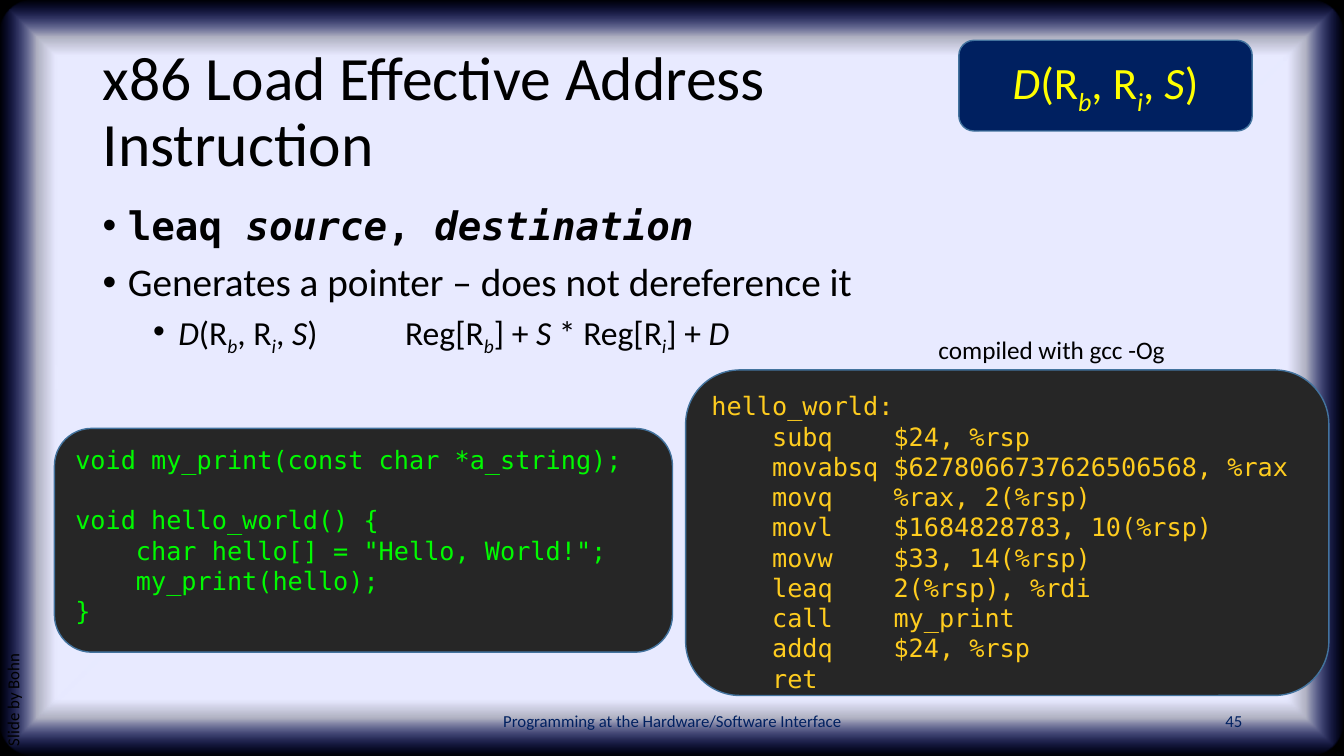
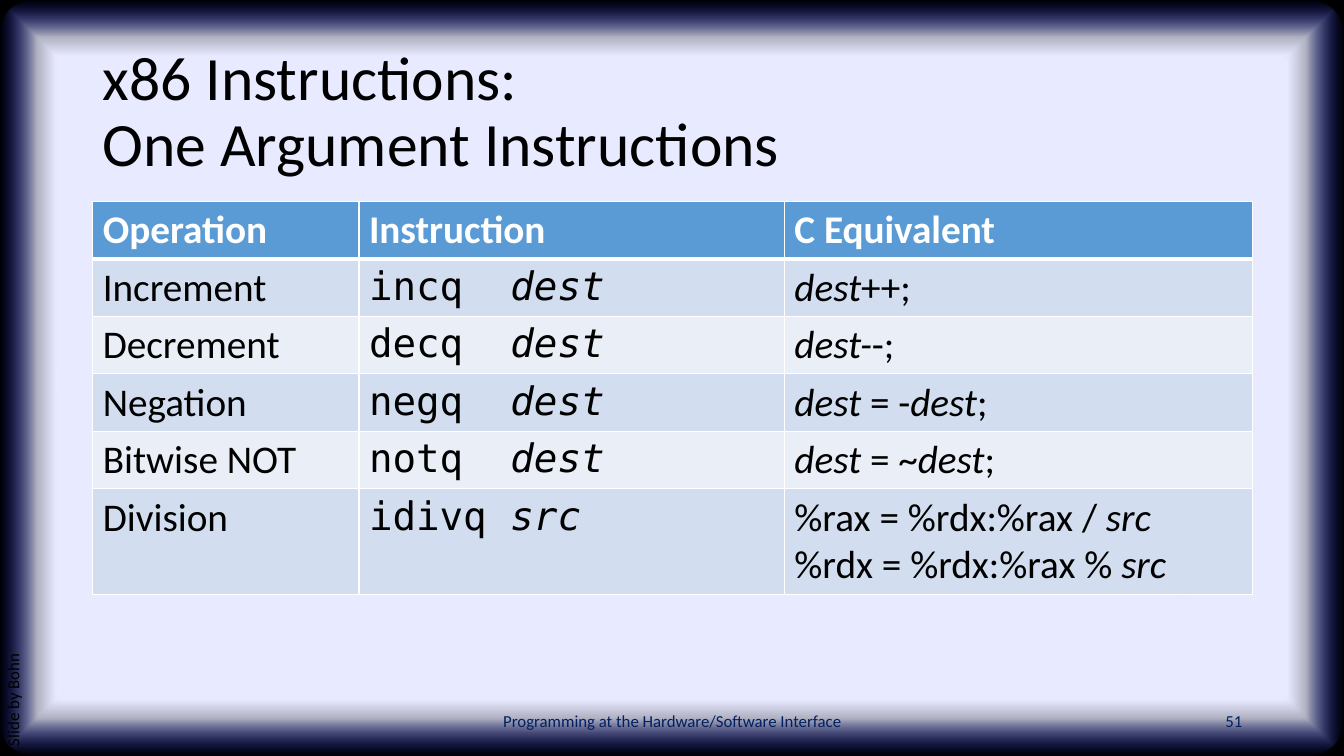
from lxml import etree
from pptx import Presentation
from pptx.dml.color import RGBColor
from pptx.enum.shapes import MSO_SHAPE as Preset
from pptx.enum.text import MSO_ANCHOR as Anchor, PP_ALIGN as Align
from pptx.oxml import parse_xml
from pptx.oxml.ns import nsdecls, qn
from pptx.util import Inches, Pt

COLORS = {
    "black": "000000", "white": "FFFFFF", "navy": "002060", "outline": "43739E",
    "yellow": "FFFF00", "code": "262626", "green": "00FA00", "amber": "FECC1F",
    "header": "5B9BD5", "odd": "D2DEEF", "even": "EAEFF7",
    "glow": "E8EAFF", "edge": "162AFF",
}
SANS, MONO = "Calibri", "DejaVu Sans Mono"
WIDTH, HEIGHT = 13.33, 7.5
LEFT, CONTENT_WIDTH = 0.92, 11.5
COURSE = "Programming at the Hardware/Software Interface"
CREDIT = "Slide by Bohn"

# Spans are (text, style): i = italic, b = bold, s = subscript, m = monospaced.
ADDRESS = [("D", "i"), ("(R", ""), ("b", "is"), (", R", ""), ("i", "is"),
           (", ", ""), ("S", "i"), (")", "")]
EFFECTIVE = [("\tReg[R", ""), ("b", "is"), ("] + ", ""), ("S", "i"),
             (" * Reg[R", ""), ("i", "is"), ("] + ", ""), ("D", "i")]

LEA_TITLE = ["x86 Load Effective Address", "Instruction"]
LEA_BULLETS = [  # level, spans
    (0, [("leaq ", "bm"), ("source", "bim"), (", ", "bm"), ("destination", "bim")]),
    (0, [("Generates a pointer – does not dereference it", "")]),
    (1, ADDRESS + EFFECTIVE),
]
BULLET_LEVELS = [(0.25, 28, 10), (0.75, 24, 5)]  # margin, size, space before
C_CODE = """void my_print(const char *a_string);

void hello_world() {
    char hello[] = "Hello, World!";
    my_print(hello);
}"""
ASSEMBLY = """hello_world:
    subq    $24, %rsp
    movabsq $6278066737626506568, %rax
    movq    %rax, 2(%rsp)
    movl    $1684828783, 10(%rsp)
    movw    $33, 14(%rsp)
    leaq    2(%rsp), %rdi
    call    my_print
    addq    $24, %rsp
    ret"""

TABLE_TITLE = ["x86 Instructions:", "One Argument Instructions"]
HEADINGS = ["Operation", "Instruction", "C Equivalent"]
COLUMN_WIDTHS = [2.64, 4.22, 4.64]
OPERATIONS = [  # operation, mnemonic, operand, lines of C
    ("Increment", "incq  ", "dest", [[("dest", "i"), ("++;", "")]]),
    ("Decrement", "decq  ", "dest", [[("dest-", "i"), ("-;", "")]]),
    ("Negation", "negq  ", "dest",
     [[("dest", "i"), (" = -", ""), ("dest", "i"), (";", "")]]),
    ("Bitwise NOT", "notq  ", "dest",
     [[("dest", "i"), (" = ~", ""), ("dest", "i"), (";", "")]]),
    ("Division", "idivq ", "src",
     [[("%rax = %rdx:%rax / ", ""), ("src", "i")],
      [("%rdx = %rdx:%rax % ", ""), ("src", "i")]]),
]


def rgb(name):
    return RGBColor.from_string(COLORS[name])


def add_spans(para, spans, size, color):
    for text, style in spans:
        span = para.add_run()
        span.text = text
        font = span.font
        font.name = MONO if "m" in style else SANS
        font.size = Pt(size)
        font.bold = "b" in style
        font.italic = "i" in style
        font.color.rgb = rgb(color)
        if "s" in style:
            span._r.get_or_add_rPr().set("baseline", "-25000")


def write_lines(frame, lines, size, color, align=Align.LEFT):
    """Write one paragraph for each list of spans."""
    for index, spans in enumerate(lines):
        para = frame.paragraphs[0] if index == 0 else frame.add_paragraph()
        para.alignment = align
        add_spans(para, spans, size, color)


def add_box(page, place, anchor=Anchor.TOP, wrap=True):
    box = page.shapes.add_textbox(*map(Inches, place))
    box.text_frame.word_wrap = wrap
    box.text_frame.vertical_anchor = anchor
    return box


def add_panel(page, place, fill, anchor):
    panel = page.shapes.add_shape(Preset.ROUNDED_RECTANGLE, *map(Inches, place))
    panel.shadow.inherit = False
    panel.fill.solid()
    panel.fill.fore_color.rgb = rgb(fill)
    panel.line.color.rgb = rgb("outline")
    panel.line.width = Pt(1)
    panel.text_frame.word_wrap = True
    panel.text_frame.vertical_anchor = anchor
    return panel.text_frame


def add_code(page, place, code, color):
    frame = add_panel(page, place, "code", Anchor.TOP)
    lines = [[(line, "m")] if line else [] for line in code.splitlines()]
    write_lines(frame, lines, 18, color)


def add_backdrop(page):
    """Black page under a pale panel that fades out at the edges."""
    full = [Inches(side) for side in (0, 0, WIDTH, HEIGHT)]
    base = page.shapes.add_shape(Preset.RECTANGLE, *full)
    base.fill.solid()
    base.fill.fore_color.rgb = rgb("black")
    glow = page.shapes.add_shape(Preset.ROUNDED_RECTANGLE, *full)
    glow.adjustments[0] = 0.048
    for shape in (base, glow):
        shape.shadow.inherit = False
        shape.line.fill.background()
    stops = "".join(
        f'<a:gs pos="{place * 1000}"><a:srgbClr val="{COLORS[color]}">'
        f'<a:alpha val="{alpha * 1000}"/></a:srgbClr></a:gs>'
        for place, color, alpha in [(85, "glow", 100), (90, "glow", 75), (100, "edge", 0)])
    glow.fill.background()
    properties = glow._element.spPr
    properties.replace(properties.find(qn("a:noFill")), parse_xml(
        f'<a:gradFill {nsdecls("a")} rotWithShape="1"><a:gsLst>{stops}</a:gsLst>'
        '<a:path path="shape"><a:fillToRect l="50000" t="50000" r="50000" b="50000"/>'
        '</a:path></a:gradFill>'))


def add_page(deck, title, number):
    page = deck.slides.add_slide(deck.slide_layouts[6])
    add_backdrop(page)
    heading = add_box(page, (LEFT, 0.4, CONTENT_WIDTH, 1.45), Anchor.MIDDLE)
    para = heading.text_frame.paragraphs[0]
    para.line_spacing = 0.9
    for index, line in enumerate(title):
        if index:
            para.add_line_break()
        add_spans(para, [(line, "")], 44, "black")
    for left, width, text, align in [(4.42, 4.5, COURSE, Align.CENTER),
                                     (9.42, 3, str(number), Align.RIGHT)]:
        footer = add_box(page, (left, 6.95, width, 0.4), Anchor.MIDDLE)
        write_lines(footer.text_frame, [[(text, "")]], 12, "navy", align)
    credit = add_box(page, (-2.44, 4.66, 5.28, 0.4))
    credit.rotation = 270
    write_lines(credit.text_frame, [[(CREDIT, "")]], 12, "black")
    credit.text_frame.paragraphs[0].line_spacing = 0.9
    return page


def add_bullets(page, place, bullets):
    frame = add_box(page, place).text_frame
    for index, (level, spans) in enumerate(bullets):
        margin, size, space = BULLET_LEVELS[level]
        para = frame.add_paragraph() if index else frame.paragraphs[0]
        para.level = level
        para.line_spacing = 0.9
        if index:
            para.space_before = Pt(space)
        settings = para._p.get_or_add_pPr()
        settings.set("marL", str(Inches(margin)))
        settings.set("indent", str(Inches(-0.25)))
        settings.set("defTabSz", str(Inches(1)))
        etree.SubElement(settings, qn("a:buFont")).set("typeface", "Arial")
        etree.SubElement(settings, qn("a:buChar")).set("char", "•")
        add_spans(para, spans, size, "black")


def set_borders(cell, top, bottom):
    settings = cell._tc.get_or_add_tcPr()
    for index, (side, width) in enumerate([("L", 1), ("R", 1), ("T", top), ("B", bottom)]):
        settings.insert(index, parse_xml(
            f'<a:ln{side} {nsdecls("a")} w="{Pt(width)}"><a:solidFill>'
            f'<a:srgbClr val="{COLORS["white"]}"/></a:solidFill></a:ln{side}>'))


def add_operations(page):
    rows = [[[[(text, "b")]] for text in HEADINGS]]
    rows += [[[[(name, "")]], [[(mnemonic, "m"), (operand, "im")]], equivalent]
             for name, mnemonic, operand, equivalent in OPERATIONS]
    heights = [0.57 if len(row[-1]) == 1 else 1.05 for row in rows]
    table = page.shapes.add_table(
        len(rows), len(HEADINGS), Inches(LEFT), Inches(2),
        Inches(CONTENT_WIDTH), Inches(sum(heights))).table
    table.horz_banding = False
    for column, width in zip(table.columns, COLUMN_WIDTHS):
        column.width = Inches(width)
    for index, row in enumerate(rows):
        table.rows[index].height = Inches(heights[index])
        fill = "header" if index == 0 else ("even", "odd")[index % 2]
        for column, lines in enumerate(row):
            cell = table.cell(index, column)
            cell.fill.solid()
            cell.fill.fore_color.rgb = rgb(fill)
            set_borders(cell, 3 if index == 1 else 1, 3 if index == 0 else 1)
            write_lines(cell.text_frame, lines, 28, "black" if index else "white")


def main():
    deck = Presentation()
    deck.slide_width, deck.slide_height = Inches(WIDTH), Inches(HEIGHT)

    page = add_page(deck, LEA_TITLE, 45)
    add_bullets(page, (LEFT, 2, CONTENT_WIDTH, 4.76), LEA_BULLETS)
    add_code(page, (0.54, 4.25, 6.13, 2.22), C_CODE, "green")
    badge = add_panel(page, (9.51, 0.4, 2.91, 0.9), "navy", Anchor.MIDDLE)
    write_lines(badge, [ADDRESS], 32, "yellow", Align.CENTER)
    add_code(page, (6.8, 3.67, 6.38, 3.23), ASSEMBLY, "amber")
    caption = add_box(page, (9.21, 3.27, 2.47, 0.4), wrap=False)
    write_lines(caption.text_frame, [[("compiled with gcc -Og", "")]], 18, "black")

    add_operations(add_page(deck, TABLE_TITLE, 51))
    deck.save("out.pptx")


if __name__ == "__main__":
    main()
